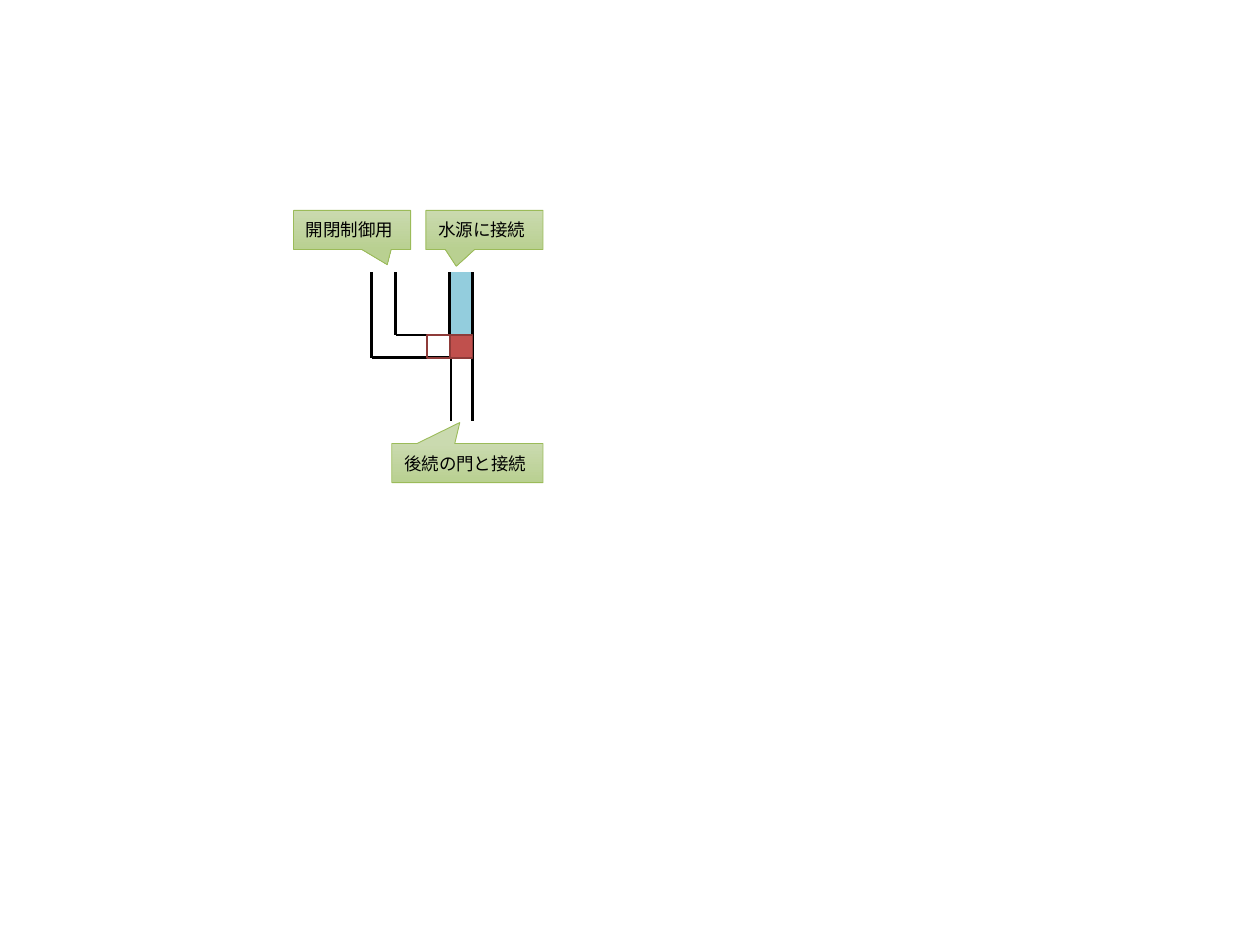
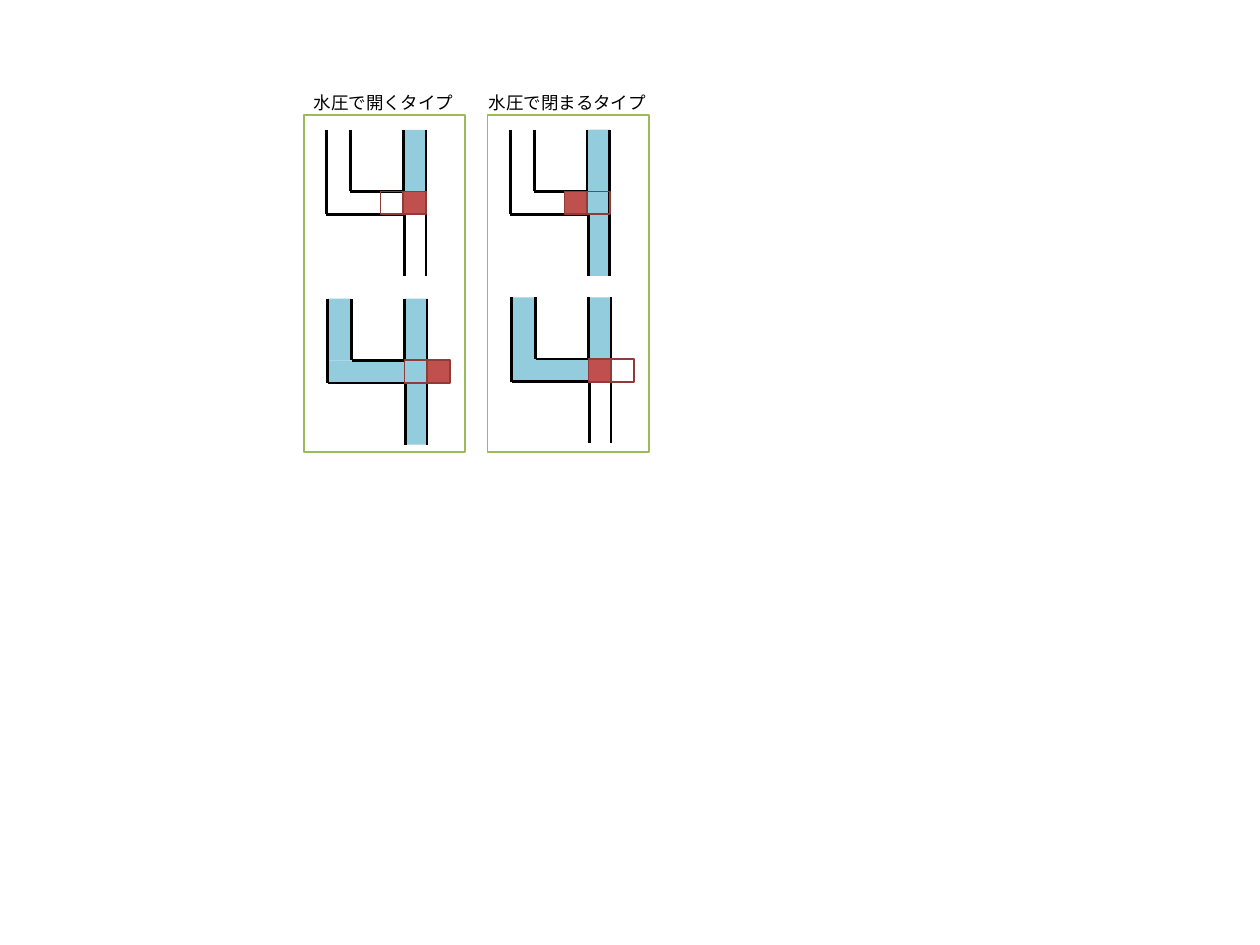
from dataclasses import dataclass

from lxml.etree import SubElement
from pptx import Presentation
from pptx.dml.color import RGBColor
from pptx.enum.shapes import MSO_CONNECTOR, MSO_SHAPE
from pptx.enum.text import MSO_ANCHOR, MSO_AUTO_SIZE, PP_ALIGN
from pptx.oxml.ns import qn
from pptx.util import Inches, Pt


@dataclass(frozen=True)
class Theme:
    font: str = "Roboto"
    size: float = 10
    text: str = "000000"
    wall: str = "000000"
    water: str = "93CDDD"
    valve: str = "C0504D"
    valve_edge: str = "8E3B39"
    green: str = "9BBB59"
    callout_top: str = "CADAAF"
    callout_bottom: str = "B9D091"
    paper: str = "FFFFFF"
    wall_width: float = 1.5
    edge_width: float = 1
    callout_width: float = 0.5


T = Theme()
PIPE = 0.18  # inner width of every pipe


def rgb(value):
    return RGBColor.from_string(value)


def add_box(shapes, kind, box, fill=None, line=None, width=T.edge_width):
    sp = shapes.add_shape(kind, *map(Inches, box))
    sp.shadow.inherit = False
    if fill:
        sp.fill.solid()
        sp.fill.fore_color.rgb = rgb(fill)
    else:
        sp.fill.background()
    if line:
        sp.line.color.rgb = rgb(line)
        sp.line.width = Pt(width)
    else:
        sp.line.fill.background()
    return sp


def add_wall(shapes, x1, y1, x2, y2):
    ln = shapes.add_connector(MSO_CONNECTOR.STRAIGHT, *map(Inches, (x1, y1, x2, y2)))
    ln.line.color.rgb = rgb(T.wall)
    ln.line.width = Pt(T.wall_width)
    SubElement(ln._element.spPr, qn("a:effectLst"))


def write(tf, text, **frame_format):
    for name, value in frame_format.items():
        setattr(tf, name, value)
    p = tf.paragraphs[0]
    p.alignment = PP_ALIGN.LEFT
    r = p.add_run()
    r.text = text
    for name, value in {"name": T.font, "size": Pt(T.size)}.items():
        setattr(r.font, name, value)
    r.font.color.rgb = rgb(T.text)


def add_gate(shapes, x, y, valve, empty, control=False, span=0.61, depth=0.49):
    """Valve slots count from the main pipe: -1 left of it, 0 inside, 1 right."""
    main, right = x + span, x + span + PIPE
    arm_top, arm_bottom = y + depth, y + depth + PIPE
    end = arm_bottom + depth

    # Water: the outlet fills only when the valve is out of the main pipe
    flow = end - y if valve else depth
    water = [(main, y, PIPE, flow)]
    if control:
        water += [(x, y, PIPE, depth), (x, arm_top, span, PIPE)]
    for box in water:
        add_box(shapes, MSO_SHAPE.RECTANGLE, box, T.water)

    # Pipe walls
    inner = x + PIPE + 0.01
    for wall in (
        (x, y, x, arm_bottom),
        (inner, y, inner, arm_top),
        (main, arm_bottom, x, arm_bottom),
        (main, arm_top, inner, arm_top),
        (main, y, main, arm_top),
        (main + 0.01, arm_bottom, main + 0.01, end),
        (right, y, right, end),
    ):
        add_wall(shapes, *wall)

    # Valve and the slot it can move to
    for slot, fill in ((valve, T.valve), (empty, None)):
        box = (main + slot * PIPE, arm_top, PIPE, PIPE)
        add_box(shapes, MSO_SHAPE.RECTANGLE, box, fill, T.valve_edge)


def add_callout(shapes, box, text, tip):
    sp = add_box(shapes, MSO_SHAPE.RECTANGULAR_CALLOUT, box,
                 line=T.green, width=T.callout_width)
    for i, value in enumerate(tip):
        sp.adjustments[i] = value
    sp.fill.gradient()
    sp.fill.gradient_angle = 270
    stops = zip(sp.fill.gradient_stops, (T.callout_top, T.callout_bottom), (0, 1))
    for stop, color, position in stops:
        stop.color.rgb = rgb(color)
        stop.position = position
    write(sp.text_frame, text, word_wrap=True, vertical_anchor=MSO_ANCHOR.MIDDLE)


def add_panel(s, x, y, title, title_box, gates):
    # Frame
    frame = add_box(s.shapes, MSO_SHAPE.ROUNDED_RECTANGLE, (x, y, 1.28, 2.68),
                    T.paper, T.green)
    frame.adjustments[0] = 0
    # Gates at rest and under pressure
    for dx, dy, state in gates:
        add_gate(s.shapes, x + dx, y + dy, **state)
    # Title
    dx, width = title_box
    tb = s.shapes.add_textbox(*map(Inches, (x + dx, y - 0.22, width, 0.25)))
    margins = {f"margin_{side}": Inches(0.04)
               for side in ("left", "top", "right", "bottom")}
    write(tb.text_frame, title, word_wrap=False,
          auto_size=MSO_AUTO_SIZE.SHAPE_TO_FIT_TEXT, **margins)


def build_parts_slide(s):
    shapes = s.shapes.add_group_shape().shapes
    add_gate(shapes, 2.95, 2.16, valve=0, empty=-1, span=0.62, depth=0.5)
    for box, text, tip in (
        ((2.33, 1.67, 0.93, 0.31), "開閉制御用", (0.3, 0.89)),
        ((3.38, 1.67, 0.93, 0.31), "水源に接続", (-0.24, 0.93)),
        ((3.11, 3.52, 1.2, 0.31), "後続の門と接続", (-0.05, -1.04)),
    ):
        add_callout(shapes, box, text, tip)


def build_types_slide(s):
    add_panel(s, 3.87, 0.91, "水圧で閉まるタイプ", (-0.03, 1.34), (
        (0.18, 0.12, {"valve": -1, "empty": 0}),
        (0.19, 1.45, {"valve": 0, "empty": 1, "control": True}),
    ))
    add_panel(s, 2.41, 0.91, "水圧で開くタイプ", (0.04, 1.2), (
        (0.18, 0.12, {"valve": 0, "empty": -1}),
        (0.19, 1.46, {"valve": 1, "empty": 0, "control": True}),
    ))


def main():
    prs = Presentation()
    prs.slide_width, prs.slide_height = Inches(10), Inches(7.5)
    for build in (build_parts_slide, build_types_slide):
        build(prs.slides.add_slide(prs.slide_layouts[6]))
    prs.save("out.pptx")


if __name__ == "__main__":
    main()
